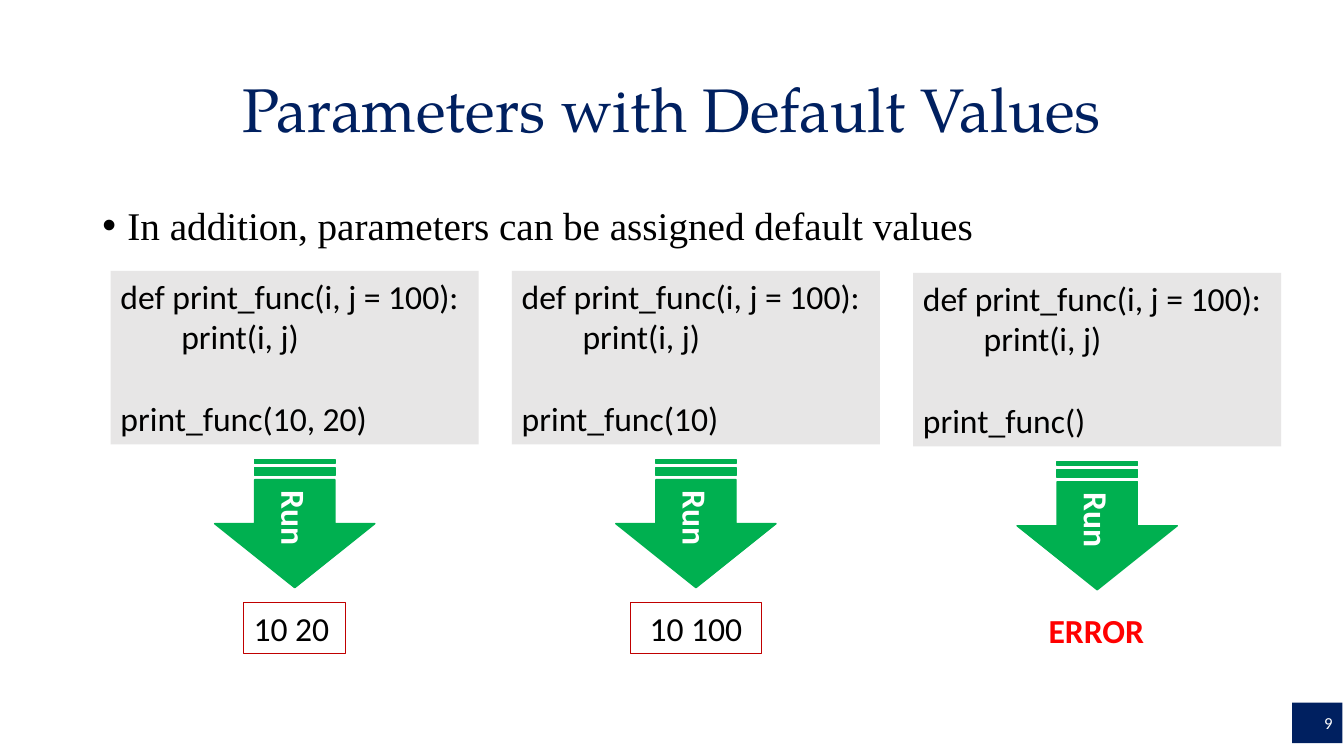
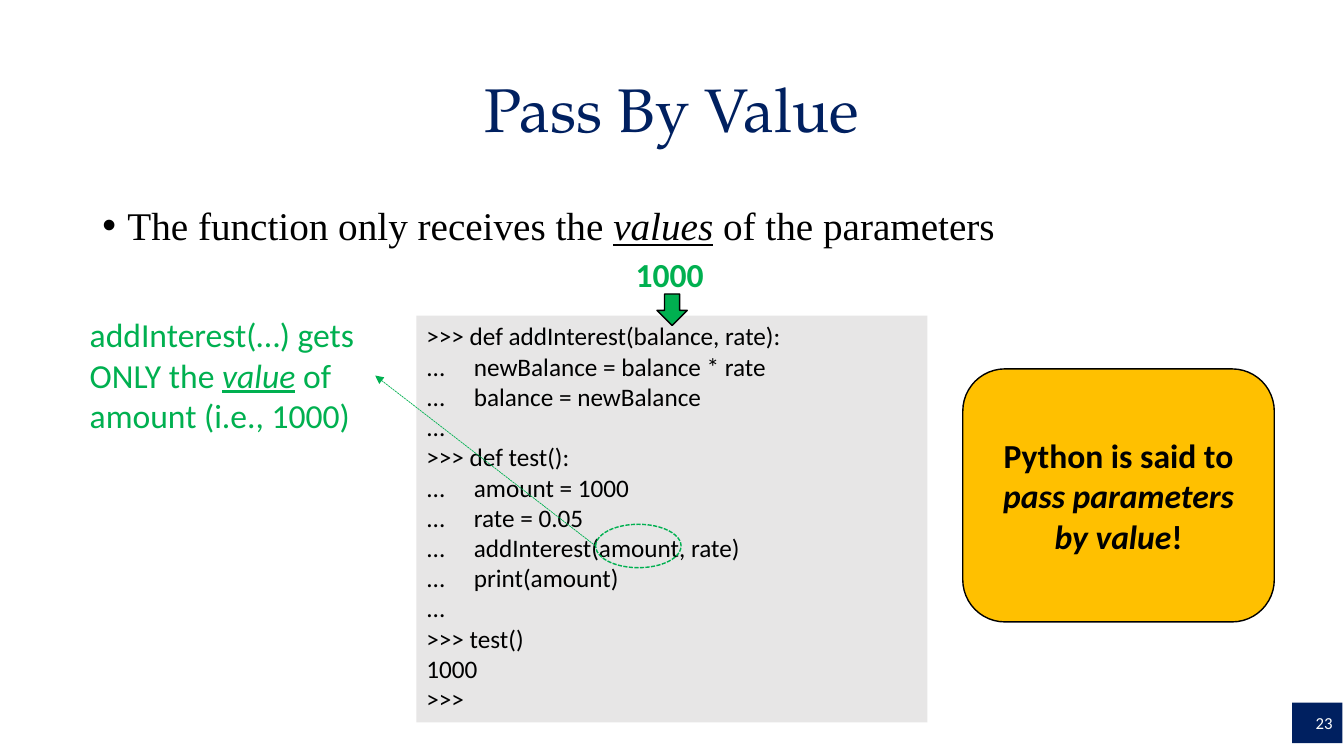
from dataclasses import dataclass
from typing import Optional

from pptx import Presentation
from pptx.dml.color import RGBColor
from pptx.enum.dml import MSO_LINE
from pptx.enum.shapes import MSO_CONNECTOR, MSO_SHAPE as Geo
from pptx.enum.text import MSO_ANCHOR as Anchor, PP_ALIGN as Align
from pptx.oxml.ns import qn
from pptx.util import Pt
from lxml.etree import SubElement

NAVY = RGBColor(0x00, 0x20, 0x60)
GREEN = RGBColor(0x00, 0xB0, 0x50)
AMBER = RGBColor(0xFF, 0xC0, 0x00)
CODE_GRAY = RGBColor(0xE7, 0xE6, 0xE6)
DARK_RED = RGBColor(0xC0, 0x00, 0x00)
RED = RGBColor(0xFF, 0x00, 0x00)
BLACK = RGBColor(0x00, 0x00, 0x00)
WHITE = RGBColor(0xFF, 0xFF, 0xFF)

TITLE_FONT, BODY_FONT, LABEL_FONT = "TeX Gyre Pagella", "Times New Roman", "Calibri"
LINE_HEIGHT = 1.22


@dataclass(frozen=True)
class Box:
    left: float
    top: float
    width: float
    height: float

    def lengths(self):
        return Pt(self.left), Pt(self.top), Pt(self.width), Pt(self.height)


@dataclass(frozen=True)
class Style:
    size: float = 24
    color: RGBColor = BLACK
    bold: Optional[bool] = None
    font: str = LABEL_FONT
    align: Align = Align.LEFT


@dataclass(frozen=True)
class Outline:
    color: RGBColor
    width: float = 1
    dash: Optional[MSO_LINE] = None


@dataclass(frozen=True)
class Span:
    text: str
    italic: bool = False
    underline: bool = False


@dataclass(frozen=True)
class Example:
    call: str
    output: str
    output_width: float
    style: Style = Style()
    framed: bool = True
    drop: float = 0


CODE = Style(18)
TITLE = Style(44, NAVY, font=TITLE_FONT, align=Align.CENTER)
BULLET = Style(28, font=BODY_FONT)
EXAMPLES = (
    Example("print_func(10, 20)", "10 20", 73),
    Example("print_func(10)", "10 100", 94, Style(align=Align.CENTER)),
    Example("print_func()", "ERROR", 83.5, Style(color=RED, bold=True), False, 1.5),
)
DEFINITION = ("def print_func(i, j = 100):", "        print(i, j)", "")
SESSION = (
    ">>> def addInterest(balance, rate):",
    "...     newBalance = balance * rate",
    "...     balance = newBalance",
    "...",
    ">>> def test():",
    "...     amount = 1000",
    "...     rate = 0.05",
    "...     addInterest(amount, rate)",
    "...     print(amount)",
    "...",
    ">>> test()",
    "1000",
    ">>>",
)


def format_paragraph(paragraph, style: Style) -> None:
    """Apply a text style to a whole paragraph."""
    paragraph.alignment = style.align
    font = paragraph.font
    font.name, font.size, font.bold = style.font, Pt(style.size), style.bold
    font.color.rgb = style.color


def write_spans(paragraph, spans: tuple[Span, ...], style: Style) -> None:
    """Fill a paragraph with spans that may be emphasised."""
    format_paragraph(paragraph, style)
    for span in spans:
        run = paragraph.add_run()
        run.text = span.text
        if span.italic:
            run.font.italic = True
        if span.underline:
            run.font.underline = True


def write_lines(frame, lines: tuple[str, ...], style: Style) -> None:
    """Write one paragraph per line, turning empty lines into spacing."""
    paragraph, gap = frame.paragraphs[0], 0.0
    for index, line in enumerate(lines):
        if not line:
            gap += style.size * LINE_HEIGHT
            continue
        if index:
            paragraph = frame.add_paragraph()
        paragraph.text = line
        if gap:
            paragraph.space_before = Pt(gap)
        format_paragraph(paragraph, style)
        gap = 0.0


def add_text(slide, box: Box, wrap: bool = True):
    """Add an empty text box."""
    text_box = slide.shapes.add_textbox(*box.lengths())
    text_box.text_frame.word_wrap = wrap
    return text_box


def add_figure(slide, geometry: Geo, box: Box, fill: Optional[RGBColor] = None,
               outline: Optional[Outline] = None):
    """Add a flat preset shape."""
    figure = slide.shapes.add_shape(geometry, *box.lengths())
    figure.shadow.inherit = False
    if fill is None:
        figure.fill.background()
    else:
        figure.fill.solid()
        figure.fill.fore_color.rgb = fill
    if outline is None:
        figure.line.fill.background()
    else:
        draw_outline(figure.line, outline)
    figure.text_frame.vertical_anchor = Anchor.MIDDLE
    return figure


def draw_outline(line, outline: Outline) -> None:
    """Set the colour, width and dash of a line."""
    line.color.rgb = outline.color
    line.width = Pt(outline.width)
    if outline.dash is not None:
        line.dash_style = outline.dash


def add_code(slide, box: Box, lines: tuple[str, ...], style: Style) -> None:
    """Add a grey code panel."""
    panel = add_figure(slide, Geo.RECTANGLE, box, CODE_GRAY)
    panel.text_frame.vertical_anchor = Anchor.TOP
    write_lines(panel.text_frame, lines, style)


def start_slide(deck, heading: str, number: str, spans: tuple[Span, ...]):
    """Add a slide with its title, bullet and number badge."""
    slide = deck.slides.add_slide(deck.slide_layouts[5])
    title = slide.shapes.title
    title.left, title.top, title.width, title.height = Box(66, 28, 828, 104.5).lengths()
    title.text_frame.vertical_anchor = Anchor.MIDDLE
    write_lines(title.text_frame, (heading,), TITLE)
    title.text_frame.paragraphs[0].line_spacing = 0.9

    body = add_text(slide, Box(66, 144, 828, 369))
    paragraph = body.text_frame.paragraphs[0]
    paragraph.line_spacing = 0.9
    properties = paragraph._p.get_or_add_pPr()
    properties.set("marL", str(Pt(18)))
    properties.set("indent", str(-Pt(18)))
    SubElement(properties, qn("a:buFont")).set("typeface", "Arial")
    SubElement(properties, qn("a:buChar")).set("char", "•")
    write_spans(paragraph, spans, BULLET)

    badge = add_figure(slide, Geo.RECTANGLE, Box(923, 502, 36, 28.8), NAVY)
    write_lines(badge.text_frame, (number,), Style(12, WHITE, align=Align.RIGHT))
    return slide


def add_example(slide, example: Example, left: float) -> None:
    """Draw a code panel, its run arrow and its result."""
    width, drop = 263, example.drop
    center = left + width / 2
    add_code(slide, Box(left, 193.5 + drop, width, 124), DEFINITION + (example.call,), Style())

    arrow_length, arrow_span = 91.5, 114.5
    arrow = add_figure(
        slide, Geo.STRIPED_RIGHT_ARROW,
        Box(center - arrow_length / 2, 316.8 + drop, arrow_length, arrow_span),
        GREEN, Outline(GREEN))
    arrow.rotation = 90
    write_lines(arrow.text_frame, ("Run",), Style(color=WHITE, bold=True, align=Align.CENTER))

    box = Box(center - example.output_width / 2, 430.5 + drop, example.output_width, 36.4)
    result = add_text(slide, box, wrap=example.framed)
    if example.framed:
        draw_outline(result.line, Outline(DARK_RED, 0.75))
    write_lines(result.text_frame, (example.output,), example.style)


def add_dashed_arrow(slide, start: tuple[float, float], target) -> None:
    """Draw a dashed arrow to the right side of a box."""
    arrow = slide.shapes.add_connector(
        MSO_CONNECTOR.STRAIGHT, Pt(start[0]), Pt(start[1]), Pt(start[0]), Pt(start[1]))
    arrow.end_connect(target, 3)
    draw_outline(arrow.line, Outline(GREEN, 0.5, MSO_LINE.SQUARE_DOT))
    properties = arrow._element.spPr
    SubElement(properties.find(qn("a:ln")), qn("a:tailEnd")).set("type", "triangle")
    SubElement(properties, qn("a:effectLst"))


def build_default_values(deck) -> None:
    """Build the slide on default parameter values."""
    slide = start_slide(deck, "Parameters with Default Values", "9",
                        (Span("In addition, parameters can be assigned default values"),))
    for column, example in enumerate(EXAMPLES):
        add_example(slide, example, 79 + column * 286.6)


def build_pass_by_value(deck) -> None:
    """Build the slide on passing by value."""
    slide = start_slide(deck, "Pass By Value", "23", (
        Span("The function only receives the "),
        Span("values", italic=True, underline=True),
        Span(" of the parameters")))
    add_code(slide, Box(297.5, 225.5, 365, 290.5), SESSION, CODE)

    note = add_text(slide, Box(57, 221, 211, 94.5))
    write_spans(note.text_frame.paragraphs[0], (
        Span("addInterest(…) gets ONLY the "),
        Span("value", italic=True, underline=True),
        Span(" of amount (i.e., 1000)")), Style(color=GREEN))

    argument = Box(425.5, 374.5, 61, 31)
    add_dashed_arrow(slide, (argument.left, argument.top + argument.height / 2), note)
    add_figure(slide, Geo.OVAL, argument, outline=Outline(GREEN, 1, MSO_LINE.SQUARE_DOT))

    value = add_text(slide, Box(447, 178, 63.4, 36.4), wrap=False)
    write_lines(value.text_frame, ("1000",), Style(color=GREEN, bold=True))
    add_figure(slide, Geo.DOWN_ARROW, Box(469.3, 210, 21.6, 22.5), GREEN, Outline(BLACK))

    summary = add_figure(slide, Geo.ROUNDED_RECTANGLE, Box(687.7, 263.5, 222.5, 180.7),
                         AMBER, Outline(BLACK))
    write_spans(summary.text_frame.paragraphs[0], (
        Span("Python is said to "),
        Span("pass parameters by value", italic=True),
        Span("!")), Style(bold=True, align=Align.CENTER))


def main() -> None:
    """Build and save the deck."""
    deck = Presentation()
    deck.slide_width, deck.slide_height = Pt(960), Pt(540)
    build_default_values(deck)
    build_pass_by_value(deck)
    deck.save("out.pptx")


if __name__ == "__main__":
    main()
